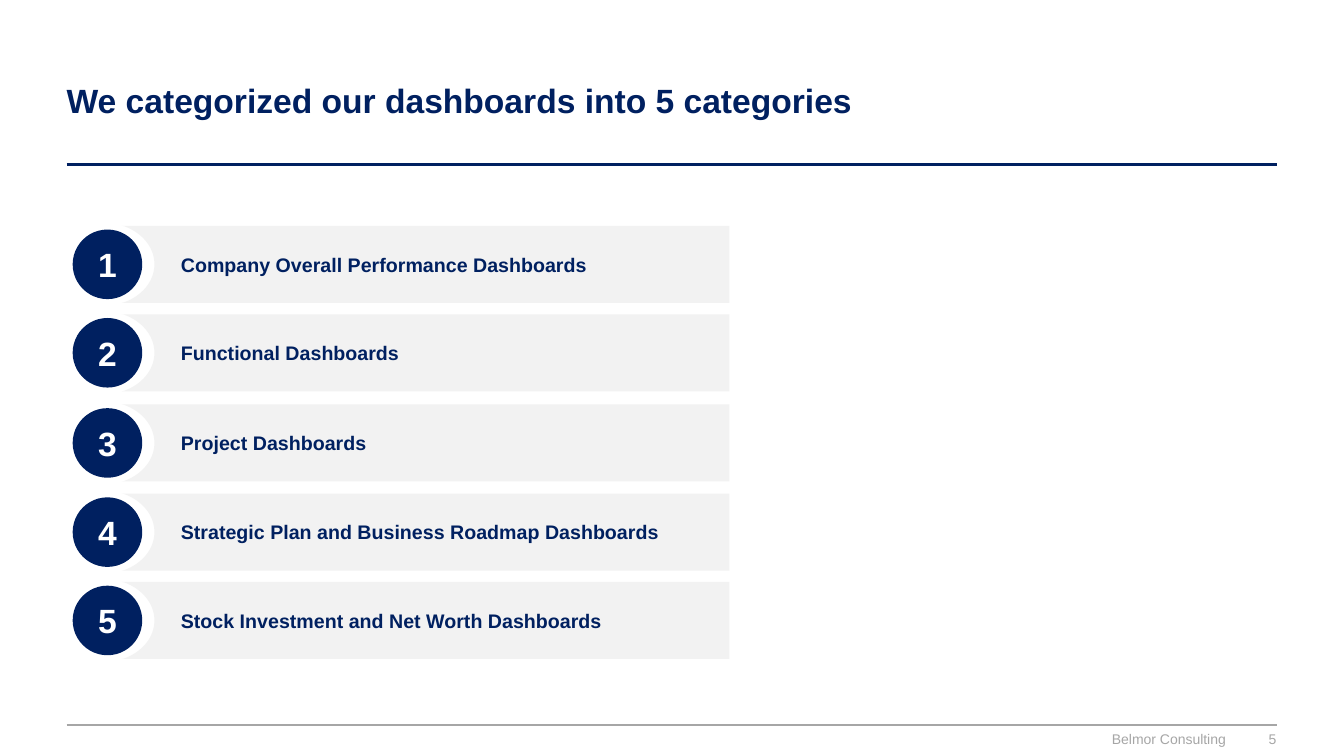
from pptx import Presentation
from pptx.dml.color import RGBColor
from pptx.enum.shapes import MSO_CONNECTOR as CONNECTOR, MSO_SHAPE as SHAPE
from pptx.enum.text import MSO_ANCHOR as ANCHOR, PP_ALIGN as ALIGN
from pptx.oxml.ns import qn
from pptx.util import Pt
from lxml.etree import SubElement

NAVY, PALE, GRAY, WHITE = "002060", "F2F2F2", "A6A6A6", "FFFFFF"
CATEGORIES = [
    (0, "Company Overall Performance Dashboards"),
    (63.2, "Functional Dashboards"),
    (127.6, "Project Dashboards"),
    (191.3, "Strategic Plan and Business Roadmap Dashboards"),
    (254.4, "Stock Investment and Net Worth Dashboards"),
]
HEADING = {"name": "Arial", "size": Pt(24), "bold": True}
LABEL = {"name": "Arial", "size": Pt(14), "bold": True}
SMALL = {"name": "Arial", "size": Pt(10), "bold": False}
NO_MARGINS = dict.fromkeys(
    ["margin_left", "margin_top", "margin_right", "margin_bottom"], 0)


def paint(color_format, color):
    color_format.rgb = RGBColor.from_string(color)


def apply(target, values):
    for key, value in values.items():
        setattr(target, key, value)


def write(shape, words, style, color, align=ALIGN.LEFT, indent=0, frame=None):
    apply(shape.text_frame, {"word_wrap": True,
                             "vertical_anchor": ANCHOR.MIDDLE, **(frame or {})})
    paragraph = shape.text_frame.paragraphs[0]
    paragraph.alignment = align
    if indent:
        paragraph._p.get_or_add_pPr().set("marL", str(Pt(indent)))
    run = paragraph.add_run()
    run.text = words
    apply(run.font, style)
    paint(run.font.color, color)


def fill_plain(shape, color):
    shape.shadow.inherit = False
    shape.fill.solid()
    paint(shape.fill.fore_color, color)
    shape.line.fill.background()


def add_text(slide, left, top, width, height, *words, **layout):
    box = slide.shapes.add_textbox(Pt(left), Pt(top), Pt(width), Pt(height))
    write(box, *words, **layout)


def add_rule(slide, left, right, y, color, weight):
    rule = slide.shapes.add_connector(
        CONNECTOR.STRAIGHT, Pt(left), Pt(y), Pt(right), Pt(y))
    paint(rule.line.color, color)
    rule.line.width = Pt(weight)
    SubElement(rule._element.spPr, qn("a:effectLst"))


def add_header(slide, left, top, width, height):
    add_text(slide, left - 7.1, top, width + 7.1, height,
             "We categorized our dashboards into 5 categories", HEADING, NAVY)
    add_rule(slide, left, left + width, top + height + 3.6, NAVY, 2)


def add_footer(slide, left, top, width):
    right = left + width
    add_rule(slide, left, right, top, GRAY, 1)
    layout = {"align": ALIGN.RIGHT, "frame": NO_MARGINS}
    add_text(slide, right - 234, top + 3.8, 197.3, 12.2,
             "Belmor Consulting", SMALL, GRAY, **layout)
    add_text(slide, right - 28.8, top + 2.3, 28.1, 15.1,
             "5", SMALL, GRAY, **layout)


def bend(outline, first):
    lines = outline.findall(qn("a:lnTo"))[first:]
    for start in range(0, len(lines), 3):
        curve = lines[start].makeelement(qn("a:cubicBezTo"))
        lines[start].addprevious(curve)
        for line in lines[start:start + 3]:
            curve.append(line[0])
            outline.remove(line)


def add_bar(slide, left, top, width, height, name):
    right, bottom, middle = left + width, top + height, top + height / 2
    notch, shoulder, tip = left + 1.6, left + 14.4, left + 23.2
    edges = [(right, top), (right, bottom), (left, bottom), (notch, bottom - 0.3)]
    curves = [(shoulder, bottom - 5), (tip, middle + 12.2), (tip, middle),
              (tip, middle - 12.2), (shoulder, top + 5), (notch, top + 0.3)]
    builder = slide.shapes.build_freeform(Pt(left), Pt(top))
    builder.add_line_segments([(Pt(x), Pt(y)) for x, y in edges + curves])
    bar = builder.convert_to_shape()
    outline = bar._element.find(".//" + qn("a:path"))
    bend(outline, len(edges))
    SubElement(outline, qn("a:close"))
    fill_plain(bar, PALE)
    write(bar, name, LABEL, NAVY, indent=35)


def add_badge(slide, left, top, diameter, number):
    badge = slide.shapes.add_shape(
        SHAPE.OVAL, Pt(left), Pt(top), Pt(diameter), Pt(diameter))
    fill_plain(badge, NAVY)
    write(badge, str(number), HEADING, WHITE, ALIGN.CENTER)


def add_categories(slide, left, top, width, row_height):
    bar_offset, diameter = 35.2, 49.7
    for number, (offset, name) in enumerate(CATEGORIES, 1):
        row_top = top + offset
        add_bar(slide, left + bar_offset, row_top, width - bar_offset,
                row_height, name)
        add_badge(slide, left, row_top + (row_height - diameter) / 2,
                  diameter, number)


def main():
    deck = Presentation()
    deck.slide_width, deck.slide_height = Pt(960), Pt(540)
    slide = deck.slides.add_slide(deck.slide_layouts[6])
    add_header(slide, 47.6, 28.8, 864.7, 85)
    add_categories(slide, 51.9, 161.3, 469.1, 55)
    add_footer(slide, 47.6, 518, 864.7)
    deck.save("out.pptx")


if __name__ == "__main__":
    main()
